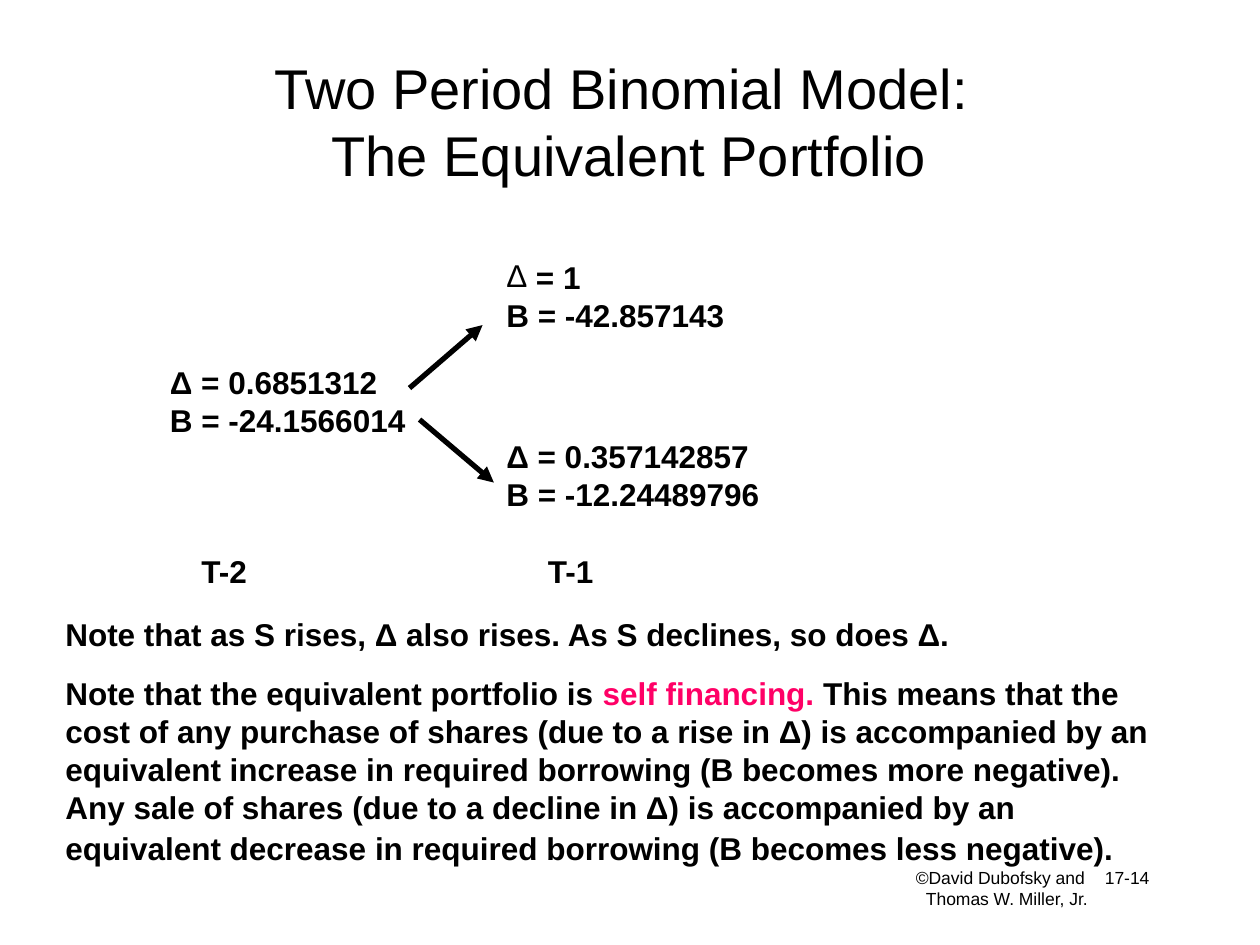
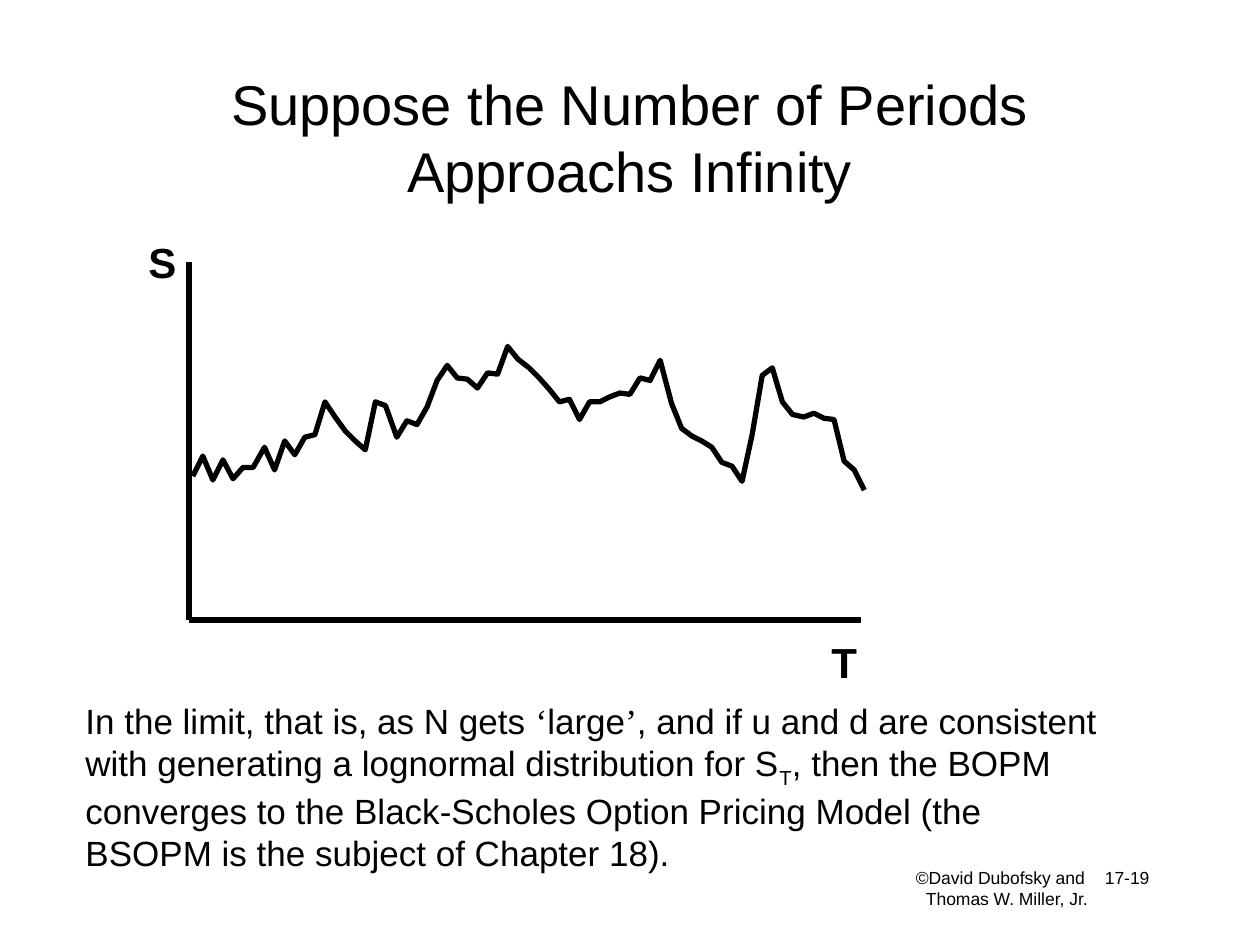
from dataclasses import dataclass

from lxml import etree
from pptx import Presentation
from pptx.dml.color import RGBColor
from pptx.enum.shapes import MSO_CONNECTOR
from pptx.enum.text import MSO_ANCHOR, PP_ALIGN
from pptx.oxml.ns import qn
from pptx.util import Pt

CENTER = PP_ALIGN.CENTER
LEFT = PP_ALIGN.LEFT
MIDDLE = MSO_ANCHOR.MIDDLE
TOP = MSO_ANCHOR.TOP
STRAIGHT = MSO_CONNECTOR.STRAIGHT
PX = 9144  # 100 px to the inch
SLIDE_SIZE = (1000, 750)
BLANK_LAYOUT = 6


@dataclass(frozen=True)
class Theme:
    ink: str = "000000"
    accent: str = "FF0066"
    font: str = "Arial"
    quote_font: str = "Times New Roman"
    title: int = 32
    axis: int = 24
    body: int = 20
    note: int = 18
    footer: int = 10
    line: int = 3


THEME = Theme()
QUOTE = {"font": THEME.quote_font}

# Every text is a list of paragraphs; a paragraph is a list of (words, changes) runs.
FOOTER_BOX = (717, 683, 208, 50)
PAGE_TAB = 149
AUTHOR_INDENT = 8

PORTFOLIO = {
    "title": ["Two Period Binomial Model: ", "The Equivalent Portfolio"],
    "title_box": (58, 33, 883, 125),
    "page": "17-14",
}
NODES = [
    ((392, 342, 267, 70), ["Δ = 0.357142857", "B = -12.24489796"]),
    ((125, 283, 242, 70), ["Δ = 0.6851312", "B = -24.1566014"]),
    ((150, 433, 100, 40), ["T-2"]),
    ((425, 433, 117, 40), ["T-1"]),
]
UP_NODE = ((392, 200, 233, 70), [" = 1", "B = -42.857143"])
ARROWS = [((325, 308), (383, 258)), ((333, 333), (392, 383))]
NOTES_BOX = (42, 483, 892, 211)
NOTES = [
    [("Note that as S rises, Δ also rises. As S declines, so does Δ.", {})],
    [
        ("Note that the equivalent portfolio is ", {}),
        ("self financing. ", {"color": THEME.accent}),
        ("This means that the cost of any purchase of shares (due to a rise in Δ) "
         "is accompanied by an equivalent increase in required borrowing (B becomes "
         "more negative). Any sale of shares (due to a decline in Δ) is accompanied "
         "by an equivalent decrease in required borrowing (B becomes less negative).", {}),
        (" ", {"size": THEME.body}),
    ],
]
NOTE_GAP = 12.5

INFINITY = {
    "title": ["Suppose the Number of Periods Approachs Infinity"],
    "title_box": (75, 42, 850, 133),
    "page": "17-19",
}
ORIGIN = (150, 492)
AXIS_ENDS = [(150, 208), (683, 492)]
AXIS_LABELS = [((108, 183, 75, 50), "S"), ((650, 500, 67, 50), "T")]
PRICE_LEFT, PRICE_RIGHT = 153, 686
PRICE_LEVELS = [  # distance from the slide's top, at equal time steps
    378, 362, 381, 365, 380, 371, 371, 355, 373, 350, 361, 347, 345, 319, 331, 342, 350,
    357, 319, 322, 347, 334, 337, 323, 302, 290, 300, 301, 308, 296, 297, 275, 285, 292,
    300, 309, 319, 317, 333, 319, 319, 315, 312, 313, 300, 302, 286, 320, 340, 346, 350,
    355, 367, 370, 382, 345, 298, 292, 319, 329, 331, 328, 332, 333, 366, 373, 389,
]
LIMIT_BOX = (58, 550, 833, 148)
LIMIT = [[
    ("In the limit, that is, as N gets ", {}),
    ("‘", QUOTE),
    ("large", {}),
    ("’", QUOTE),
    (", and if u and d are consistent with generating a lognormal distribution for S", {}),
    ("T", {"baseline": -25000}),
    (", then the BOPM converges to the Black-Scholes Option Pricing Model "
     "(the BSOPM is the subject of Chapter 18).", {}),
]]


def emu(lengths):
    return [length * PX for length in lengths]


def plain(lines):
    return [[(line, {})] for line in lines]


def add_run(paragraph, words, size, bold=False, color=THEME.ink, font=THEME.font,
            baseline=None):
    run = paragraph.add_run()
    run.text = words
    run.font.size = Pt(size)
    run.font.bold = bold
    run.font.name = font
    run.font.color.rgb = RGBColor.from_string(color)
    if baseline is not None:
        run.font._element.set("baseline", str(baseline))


def add_text(slide, box, paragraphs, size, bold=False, align=LEFT, anchor=TOP, gap=0):
    """Add a wrapped text box, with gap points between paragraphs, and return its frame."""
    frame = slide.shapes.add_textbox(*emu(box)).text_frame
    frame.word_wrap = True
    frame.vertical_anchor = anchor
    for index, runs in enumerate(paragraphs):
        paragraph = frame.add_paragraph() if index else frame.paragraphs[0]
        paragraph.alignment = align
        if index and gap:
            paragraph.space_before = Pt(gap)
        for words, changes in runs:
            add_run(paragraph, words, **{"size": size, "bold": bold, **changes})
    return frame


def paragraph_properties(paragraph, indent=0):
    properties = paragraph._p.get_or_add_pPr()
    properties.set("marL", str(indent * PX))
    properties.set("indent", "0")
    return properties


def add_bullet(paragraph, character):
    properties = paragraph_properties(paragraph)
    etree.SubElement(properties, qn("a:buFont"), typeface=THEME.font)
    etree.SubElement(properties, qn("a:buChar"), char=character)


def add_title(slide, lines, box):
    frame = add_text(slide, box, [[]], THEME.title, align=CENTER, anchor=MIDDLE)
    paragraph = frame.paragraphs[0]
    for index, line in enumerate(lines):
        if index:
            paragraph.add_line_break()
        add_run(paragraph, line, THEME.title)


def add_footer(slide, page):
    lines = [f"©David Dubofsky and\t{page}", "Thomas W. Miller, Jr."]
    credit, author = add_text(slide, FOOTER_BOX, plain(lines), THEME.footer).paragraphs
    tabs = etree.SubElement(paragraph_properties(credit), qn("a:tabLst"))
    etree.SubElement(tabs, qn("a:tab"), pos=str(PAGE_TAB * PX), algn="l")
    paragraph_properties(author, AUTHOR_INDENT)


def style_line(shape):
    shape.line.color.rgb = RGBColor.from_string(THEME.ink)
    shape.line.width = Pt(THEME.line)
    outline = shape.line._get_or_add_ln()
    etree.SubElement(outline, qn("a:round"))
    return outline


def add_line(slide, start, end, arrow=False):
    connector = slide.shapes.add_connector(STRAIGHT, *emu(start + end))
    outline = style_line(connector)
    if arrow:
        etree.SubElement(outline, qn("a:tailEnd"), type="triangle")
    etree.SubElement(connector._element.spPr, qn("a:effectLst"))


def add_price_path(slide):
    step = (PRICE_RIGHT - PRICE_LEFT) / (len(PRICE_LEVELS) - 1)
    start, *rest = [(round(PRICE_LEFT + index * step), level)
                    for index, level in enumerate(PRICE_LEVELS)]
    builder = slide.shapes.build_freeform(*start, scale=PX)
    builder.add_line_segments(rest, close=False)
    curve = builder.convert_to_shape()
    curve.shadow.inherit = False
    curve.fill.background()
    style_line(curve)


def start_slide(presentation, content):
    slide = presentation.slides.add_slide(presentation.slide_layouts[BLANK_LAYOUT])
    add_footer(slide, content["page"])
    add_title(slide, content["title"], content["title_box"])
    return slide


def build_portfolio(presentation):
    slide = start_slide(presentation, PORTFOLIO)
    for start, end in ARROWS:
        add_line(slide, start, end, arrow=True)
    box, lines = UP_NODE
    up_frame = add_text(slide, box, plain(lines), THEME.note, bold=True)
    add_bullet(up_frame.paragraphs[0], "Δ")
    for box, lines in NODES:
        add_text(slide, box, plain(lines), THEME.note, bold=True)
    add_text(slide, NOTES_BOX, NOTES, THEME.note, bold=True, gap=NOTE_GAP)


def build_infinity(presentation):
    slide = start_slide(presentation, INFINITY)
    for end in AXIS_ENDS:
        add_line(slide, ORIGIN, end)
    add_price_path(slide)
    for box, label in AXIS_LABELS:
        add_text(slide, box, plain([label]), THEME.axis, bold=True)
    add_text(slide, LIMIT_BOX, LIMIT, THEME.body)


def main():
    presentation = Presentation()
    presentation.slide_width, presentation.slide_height = emu(SLIDE_SIZE)
    build_portfolio(presentation)
    build_infinity(presentation)
    presentation.save("out.pptx")


if __name__ == "__main__":
    main()
